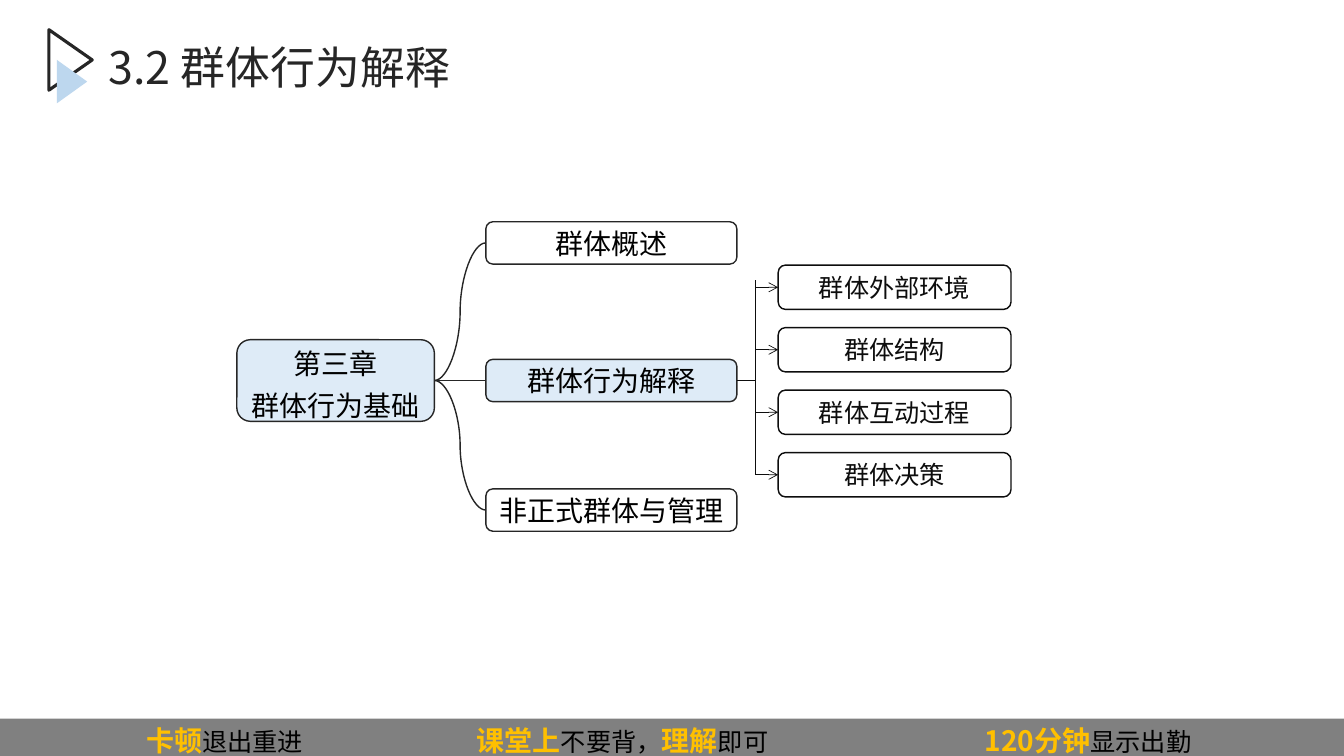
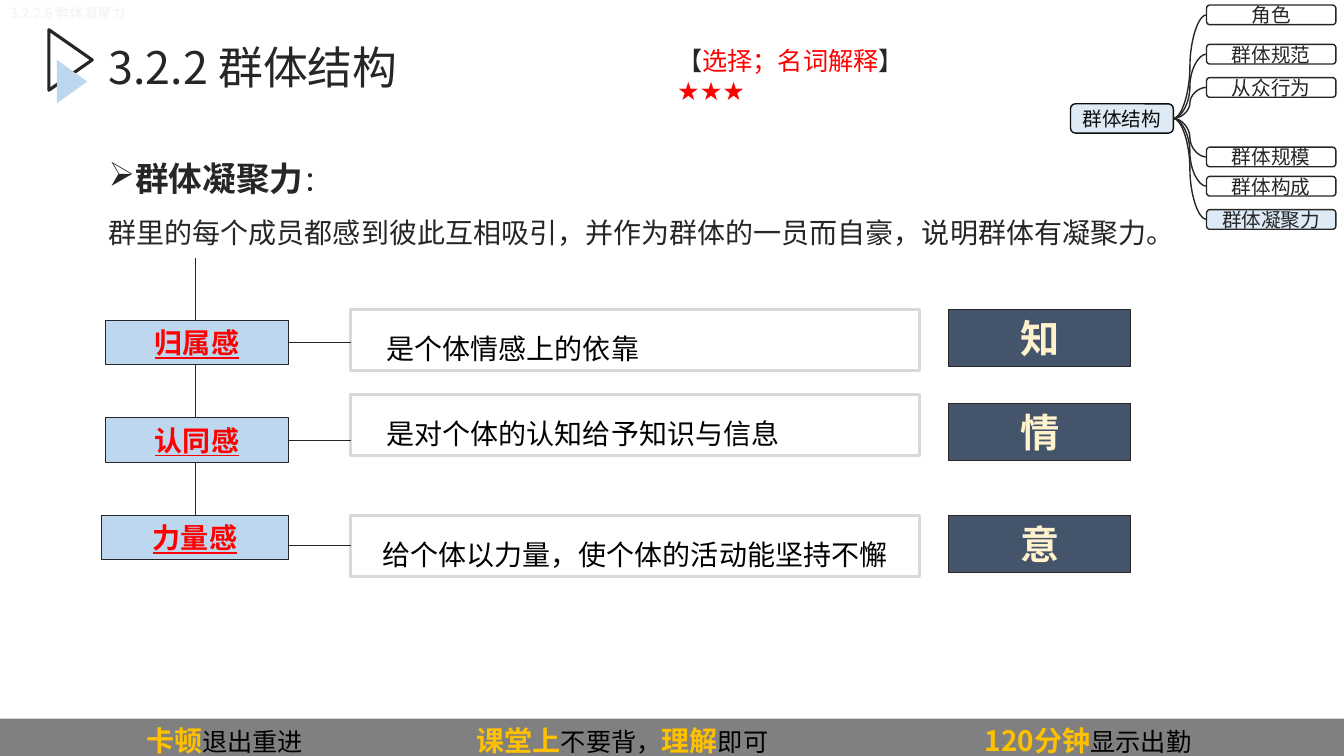
"""Builds two course slides on group behaviour."""
from dataclasses import dataclass, replace
from typing import NamedTuple

from lxml.etree import SubElement
from pptx import Presentation
from pptx.dml.color import RGBColor
from pptx.enum.shapes import MSO_CONNECTOR, MSO_SHAPE
from pptx.enum.text import MSO_ANCHOR, PP_ALIGN
from pptx.oxml.ns import qn
from pptx.shapes.autoshape import Shape
from pptx.shapes.connector import Connector
from pptx.slide import Slide
from pptx.text.text import _Paragraph as Para
from pptx.util import Inches, Length, Pt

COLS, ROWS = 160, 90
CELL = Inches(7.5) / ROWS
INDENT = 4.56
HUES = {
    "ink": "262626", "dark": "0D0D0D", "black": "000000", "red": "FF0000",
    "gold": "FFC000", "gray": "808080", "edge": "D9D9D9", "sky": "BDD7EE",
    "pale": "DEEBF7", "navy": "44546A", "cream": "FFF2CC", "faint": "F2F2F2",
}


class Box(NamedTuple):
    """Left, top, width and height in grid cells."""
    x: float
    y: float
    w: float
    h: float

    @property
    def mid(self) -> float:
        """Row of the vertical middle."""
        return self.y + self.h / 2


class Bit(NamedTuple):
    """A stretch of text that differs from its paragraph."""
    text: str
    hue: str | None = None
    size: float | None = None
    bold: bool | None = None


@dataclass(frozen=True)
class Style:
    """The look of a paragraph."""
    size: float
    hue: str = "ink"
    bold: bool = False
    under: bool = False
    align: PP_ALIGN = PP_ALIGN.LEFT
    space: float | Length | None = None
    face: str = "Noto Sans CJK SC"
    indent: float = 0
    bullet: str = ""
    tabs: tuple[float, ...] = ()


@dataclass(frozen=True)
class Look:
    """The fill and outline of a shape."""
    fill: str | None = None
    line: str | None = None
    width: float = 1


@dataclass(frozen=True)
class Feel:
    """One row of the cohesion chart."""
    name: str
    note: str
    sign: str
    left: float
    note_y: float
    sign_y: float
    align: PP_ALIGN = PP_ALIGN.LEFT
    indent: float = 0
    low: bool = False


MID = PP_ALIGN.CENTER
TITLE = Style(32, space=0.9)
FOOT = Style(18, "black", tabs=(17.4, 56.76, 117.24))
NODE = Style(20, "black", align=MID)
PART = Style(18, "dark", align=MID)
MINI = Style(14, align=MID)
NAME = Style(20, "red", True, True, MID)
NOTE = Style(20, "black", space=1.5)
SIGN = Style(28, "cream", True, align=MID)
OPEN, PALE = Look(line="ink"), Look("pale", "ink")

FEET = [
    Bit("\t卡顿", "gold", 20, True), Bit("退出重进"),
    Bit("\t课堂上", "gold", 20, True), Bit("不要背，"),
    Bit("理解", "gold", 20, True), Bit("即可"),
    Bit("\t120分钟", "gold", 20, True), Bit("显示出勤"),
]
TOPICS = [("群体概述", 26.4), ("群体行为解释", 42.78), ("非正式群体与管理", 58.2)]
PARTS = ["群体外部环境", "群体结构", "群体互动过程", "群体决策"]
LEAVES = [("角色", 0.6), ("群体规范", 5.28), ("从众行为", 9.24),
          ("群体规模", 17.52), ("群体构成", 21), ("群体凝聚力", 24.96)]
FEELS = [
    Feel("归属感", "是个体情感上的依靠", "知", 12.6, 36.84, 36.84, indent=3.1),
    Feel("认同感", "是对个体的认知给予知识与信息", "情", 12.6, 46.92, 48, indent=3.1),
    Feel("力量感", "给个体以力量，使个体的活动能坚持不懈", "意", 12.12, 61.32, 61.32,
         align=MID, low=True),
]


def cells(num: float) -> int:
    """Turns grid cells into EMU."""
    return round(num * CELL)


def rgb(hue: str) -> RGBColor:
    """Looks up a named colour."""
    return RGBColor.from_string(HUES[hue])


def write(para: Para, bits: list[Bit], style: Style) -> None:
    """Fills a paragraph with styled text."""
    prop = para._p.get_or_add_pPr()
    if style.indent:
        prop.set("marL", str(cells(style.indent)))
        prop.set("indent", "0")
    if style.bullet:
        SubElement(prop, qn("a:buChar")).set("char", style.bullet)
    if style.tabs:
        stops = SubElement(prop, qn("a:tabLst"))
        for stop in style.tabs:
            SubElement(stops, qn("a:tab"), pos=str(cells(stop)), algn="l")
    para.alignment = style.align
    para.line_spacing = style.space
    font = para.font
    font.name, font.size = style.face, Pt(style.size)
    font.bold, font.underline = style.bold, style.under
    font.color.rgb = rgb(style.hue)
    SubElement(prop.find(qn("a:defRPr")), qn("a:ea"), typeface=style.face)
    for bit in bits:
        run = para.add_run()
        run.text = bit.text
        if bit.hue:
            run.font.color.rgb = rgb(bit.hue)
        if bit.size:
            run.font.size = Pt(bit.size)
        if bit.bold is not None:
            run.font.bold = bit.bold


def label(slide: Slide, box: Box, *paras: tuple[list[Bit], Style]) -> Shape:
    """Adds a wrapped text box."""
    shape = slide.shapes.add_textbox(*map(cells, box))
    frame = shape.text_frame
    frame.word_wrap = True
    for num, (bits, style) in enumerate(paras):
        write(frame.add_paragraph() if num else frame.paragraphs[0], bits, style)
    return shape


def draw(slide: Slide, kind: MSO_SHAPE, box: Box, look: Look,
         style: Style | None = None, *lines: str) -> Shape:
    """Adds a preset shape with optional centred lines."""
    shape = slide.shapes.add_shape(kind, *map(cells, box))
    shape.shadow.inherit = False
    if look.fill:
        shape.fill.solid()
        shape.fill.fore_color.rgb = rgb(look.fill)
    else:
        shape.fill.background()
    if look.line:
        shape.line.color.rgb = rgb(look.line)
        shape.line.width = Pt(look.width)
    else:
        shape.line.fill.background()
    frame = shape.text_frame
    frame.word_wrap = True
    frame.vertical_anchor = MSO_ANCHOR.MIDDLE
    if style:
        frame.margin_left = frame.margin_right = cells(1.2 if style.indent else 0)
        frame.margin_top = frame.margin_bottom = 0
        for num, text in enumerate(lines):
            write(frame.add_paragraph() if num else frame.paragraphs[0], [Bit(text)], style)
    return shape


def link(slide: Slide, start: tuple[float, float], end: tuple[float, float],
         hue: str = "ink", width: float = 0.5, kind: MSO_CONNECTOR = MSO_CONNECTOR.STRAIGHT,
         arrow: bool = False, tie: Shape | None = None, aim: Shape | None = None) -> Connector:
    """Adds a connector, joined to side middles when asked."""
    line = slide.shapes.add_connector(kind, *map(cells, (*start, *end)))
    line.line.color.rgb = rgb(hue)
    line.line.width = Pt(width)
    if arrow:
        SubElement(line.line._get_or_add_ln(), qn("a:tailEnd"), type="arrow")
    SubElement(line._element.spPr, qn("a:effectLst"))
    if tie:
        line.begin_connect(tie, 3)
    if aim:
        line.end_connect(aim, 1)
    return line


def fan(slide: Slide, root: Shape, leaf: Shape) -> None:
    """Joins a root to a leaf with a curve."""
    link(slide, (0, 0), (1, 1), width=1, kind=MSO_CONNECTOR.CURVE, tie=root, aim=leaf)


def base(deck: Presentation, title: str) -> Slide:
    """Adds a slide with the shared mark, band and title."""
    slide = deck.slides.add_slide(deck.slide_layouts[6])
    for box, look in ((Box(4.8, 4.56, 7.2, 5.16), Look(line="ink", width=2.25)),
                      (Box(6, 7.92, 5.16, 3.6), Look("sky"))):
        draw(slide, MSO_SHAPE.ISOSCELES_TRIANGLE, box, look).rotation = 90
    band = draw(slide, MSO_SHAPE.RECTANGLE, Box(0, 85.56, COLS, ROWS - 85.56), Look("gray"))
    frame = band.text_frame
    frame.vertical_anchor = MSO_ANCHOR.TOP
    frame.margin_left = frame.margin_right = 0
    write(frame.paragraphs[0], FEET, FOOT)
    label(slide, Box(11.76, 4.92, 144, 11.16), ([Bit(title)], TITLE))
    return slide


def outline(deck: Presentation) -> None:
    """Draws the chapter map."""
    slide = base(deck, "3.2 群体行为解释")
    kind = MSO_SHAPE.ROUNDED_RECTANGLE
    root = draw(slide, kind, Box(28.2, 40.44, 23.52, 9.72), PALE,
                replace(NODE, space=Pt(30)), "第三章", "群体行为基础")
    nodes = []
    for num, (text, top) in enumerate(TOPICS):
        look = PALE if num == 1 else OPEN
        nodes.append(draw(slide, kind, Box(57.84, top, 29.88, 5.04), look, NODE, text))
        fan(slide, root, nodes[-1])
    spine = 89.9
    boxes = [Box(92.64, 31.56 + 7.44 * num, 27.72, 5.28) for num in range(len(PARTS))]
    link(slide, (spine, 33.36), (spine, boxes[-1].mid), "dark")
    link(slide, (87.72, 45.3), (spine, 45.3), "dark", tie=nodes[1])
    for text, box in zip(PARTS, boxes):
        part = draw(slide, kind, box, Look(line="dark"), PART, text)
        link(slide, (spine, box.mid), (box.x, box.mid), "dark", arrow=True, aim=part)


def inset(slide: Slide) -> None:
    """Draws the small map in the corner."""
    kind = MSO_SHAPE.ROUNDED_RECTANGLE
    root = draw(slide, kind, Box(127.44, 12.36, 12.24, 3.48), Look("pale", "dark"),
                replace(MINI, hue="dark"), "群体结构")
    for text, top in LEAVES:
        look = PALE if text == LEAVES[-1][0] else OPEN
        fan(slide, root, draw(slide, kind, Box(143.64, top, 15.4, 2.34), look, MINI, text))


def bonds(deck: Presentation) -> None:
    """Draws the group cohesion slide."""
    slide = base(deck, "3.2.2 群体结构")
    label(slide, Box(0, 0, 24, 4), ([Bit("3.2.2.6 群体凝聚力")], Style(10, "faint")))
    inset(slide)
    label(slide, Box(79.44, 4.8, 37.56, 9),
          ([Bit("【"), Bit("选择；名词解释", "red"), Bit("】")], Style(18)),
          ([Bit("★★★")], Style(18, "red", face="DejaVu Sans")))
    body = Style(20, space=1.5, indent=INDENT)
    label(slide, Box(7.2, 15.84, 144, 14.52),
          ([Bit("群体凝聚力", size=24, bold=True), Bit("：", size=20)],
           replace(body, size=24, bullet="➢")),
          ([Bit("群里的每个成员都感到彼此互相吸引，并作为群体的一员而自豪，说明群体有凝聚力。")], body))
    link(slide, (23.3, 30.72), (23.3, 61.36))
    kind = MSO_SHAPE.RECTANGLE
    for num, row in enumerate(FEELS):
        name = Box(row.left, 38.16 + 11.6 * num, 34.32 - row.left, 5.28)
        note = Box(41.76, row.note_y, 67.68, 7.32)
        tag = draw(slide, kind, name, Look("sky", "ink", 0.75), NAME, row.name)
        text = draw(slide, kind, note, Look(line="edge", width=2.25),
                    replace(NOTE, align=row.align, indent=row.indent), row.note)
        level = note.mid if row.low else name.mid
        link(slide, (34.32, level), (note.x, level),
             tie=None if row.low else tag, aim=text if row.low else None)
        draw(slide, kind, Box(112.92, row.sign_y, 21.72, 6.84),
             Look("navy", "ink", 0.75), SIGN, row.sign)


def main() -> None:
    """Builds and saves the deck."""
    deck = Presentation()
    deck.slide_width, deck.slide_height = cells(COLS), cells(ROWS)
    outline(deck)
    bonds(deck)
    deck.save("out.pptx")


if __name__ == "__main__":
    main()
